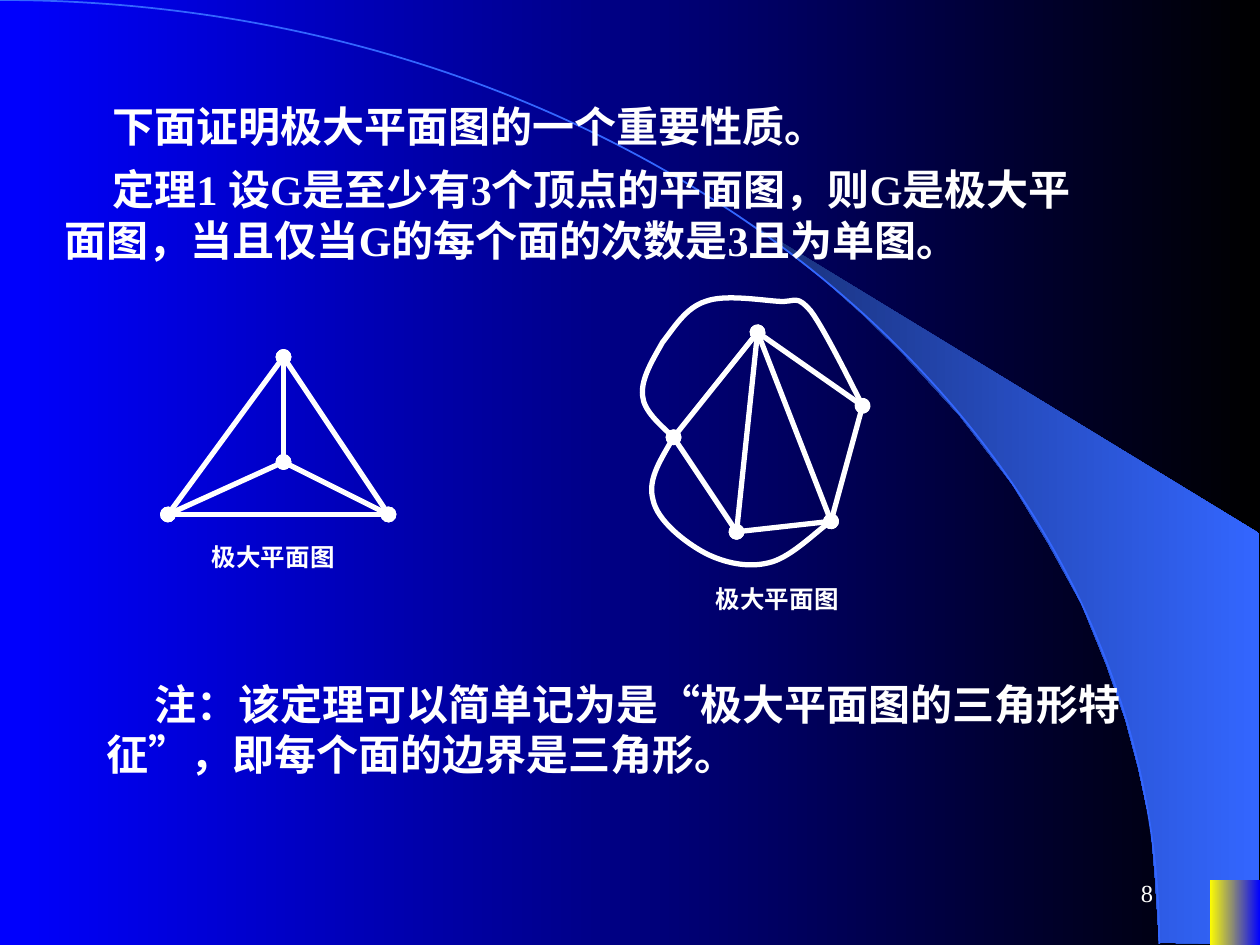
from lxml import etree
from pptx import Presentation
from pptx.enum.shapes import MSO_CONNECTOR, MSO_SHAPE
from pptx.enum.text import MSO_ANCHOR, PP_ALIGN
from pptx.dml.color import RGBColor
from pptx.oxml.ns import qn
from pptx.util import Inches, Pt

RECTANGLE = MSO_SHAPE.RECTANGLE
STRAIGHT = MSO_CONNECTOR.STRAIGHT
TOP, MIDDLE = MSO_ANCHOR.TOP, MSO_ANCHOR.MIDDLE
LEFT, RIGHT = PP_ALIGN.LEFT, PP_ALIGN.RIGHT

COLORS = {"white": "FFFFFF", "blue": "0000FF", "black": "000000",
          "navy": "182F76", "azure": "3366FF", "yellow": "FFFF00"}
FONT = "Times New Roman"
COLUMNS, ROWS = 120, 90
CELL = Inches(10) // COLUMNS

STATEMENT_FORMAT = {"space_before": Pt(15), "alignment": LEFT}
STATEMENTS = [
    ((5, 9, 101, 6), "下面证明极大平面图的一个重要性质。"),
    ((5, 15, 101, 10.8),
     "定理1 设G是至少有3个顶点的平面图，则G是极大平面图，当且仅当G的每个面的次数是3且为单图。"),
    ((9, 64, 101, 10.8),
     "注：该定理可以简单记为是“极大平面图的三角形特征”，即每个面的边界是三角形。"),
]
CAPTION = "极大平面图"
CAPTION_BOXES = [(19, 51, 17, 4.1), (67, 55, 15, 4.1)]

TETRAHEDRON = {"top": (27, 34), "left": (16, 49), "right": (37, 49), "center": (27, 44)}
TETRAHEDRON_EDGES = ["top left", "top right", "left right",
                     "top center", "center left", "center right"]
PENTAGON = {"top": (72.15, 31.65), "left": (64.15, 41.65), "right": (82.15, 38.65),
            "low_right": (79.15, 49.65), "low_left": (70.15, 50.65)}
PENTAGON_EDGES = ["top left", "left low_left", "top right", "right low_right",
                  "low_left low_right", "top low_left", "top low_right"]

# After the start point, each row holds two control points and an end point
LOWER_CURVE = [
    PENTAGON["left"],
    (62.9, 43.8), (61.7, 45.8), (62.2, 47.6),
    (62.6, 49.6), (65.3, 51.7), (67.2, 52.7),
    (69, 53.6), (71.2, 54.1), (73.2, 53.6),
    (75.1, 53.2), (78.1, 50.3), PENTAGON["low_right"],
]
UPPER_CURVE = [
    PENTAGON["left"],
    (62.8, 40.4), (61.3, 39.1), (61.2, 37.7),
    (61, 36.1), (62.2, 34.2), (63.1, 32.6),
    (64.2, 31.2), (65.3, 29.3), (67.2, 28.7),
    (69, 28), (72.5, 28.6), (74.2, 28.7),
    (75.8, 28.8), (75.8, 28), (77.2, 29.6),
    (78.5, 31.3), (81.4, 37.2), PENTAGON["right"],
]
BACKGROUND_ARC = [(0, 0), (61, 0), (110.4, 40.2), (110.4, 89.9)]
SWEEP = [(110.4, 89.8), (119.9, 89.9), (119.9, 50.8), (70.7, 20.8), (74.9, 23.9),
         (78.4, 26.6), (82.2, 30), (85.9, 33.6), (91.4, 39.6), (96.4, 46.1),
         (99.8, 51.7), (103, 57.5), (105.4, 63.4), (107.2, 68.6), (108.4, 73.1),
         (109.6, 78.7), (110, 83.5)]


def color(name):
    return RGBColor.from_string(COLORS[name])


def grid(*cells):
    return [round(cell * CELL) for cell in cells]


def set_values(target, values):
    for name, value in values.items():
        setattr(target, name, value)


def fill_gradient(fill, start, end):
    fill.gradient()
    fill.gradient_angle = 0
    for stop, name in zip(fill.gradient_stops, (start, end)):
        stop.color.rgb = color(name)


def style_line(shape, name="white", width=3, dots=False):
    """Colour the outline; dots puts a round end at both ends."""
    shape.line.color.rgb = color(name)
    shape.line.width = Pt(width)
    if dots:
        line = shape.line._get_or_add_ln()
        for tag in ("a:headEnd", "a:tailEnd"):
            etree.SubElement(line, qn(tag), type="oval")


def add_text(slide, box, text, size, bold=True, anchor=TOP, indent=0, paragraph_format=None):
    frame = slide.shapes.add_textbox(*grid(*box)).text_frame
    set_values(frame, {"word_wrap": True, "vertical_anchor": anchor})
    paragraph = frame.paragraphs[0]
    set_values(paragraph, paragraph_format or {})
    if indent:
        paragraph._p.get_or_add_pPr().set("indent", str(Inches(indent)))
    run = paragraph.add_run()
    run.text = text
    set_values(run.font, {"name": FONT, "size": Pt(size), "bold": bold})
    run.font.color.rgb = color("white")


def add_outline(slide, points, close):
    start, *others = [grid(*point) for point in points]
    builder = slide.shapes.build_freeform(*start, scale=1.0)
    builder.add_line_segments(others, close=close)
    shape = builder.convert_to_shape()
    shape.shadow.inherit = False
    return shape


def add_curve(slide, points, **line_format):
    """Draw an open outline, then join every three line points into a Bézier segment."""
    shape = add_outline(slide, points, close=False)
    lines = list(shape._element.iter(qn("a:lnTo")))
    for first in range(0, len(lines), 3):
        segment = etree.SubElement(lines[first].getparent(), qn("a:cubicBezTo"))
        for line in lines[first:first + 3]:
            segment.append(line[0])
            line.getparent().remove(line)
    shape.fill.background()
    style_line(shape, **line_format)


def add_graph(slide, vertices, edges):
    for edge in edges:
        start, end = (vertices[name] for name in edge.split())
        connector = slide.shapes.add_connector(STRAIGHT, *grid(*start, *end))
        style_line(connector, dots=edge != "top low_right")
        etree.SubElement(connector._element.spPr, qn("a:effectLst"))


def add_backdrop(slide):
    fill_gradient(slide.background.fill, "blue", "black")
    sweep = add_outline(slide, SWEEP, close=True)
    fill_gradient(sweep.fill, "navy", "azure")
    sweep.line.fill.background()
    add_curve(slide, BACKGROUND_ARC, name="azure", width=1)
    corner = slide.shapes.add_shape(RECTANGLE, *grid(115.2, 83.8, 4.8, 6.2))
    corner.shadow.inherit = False
    fill_gradient(corner.fill, "yellow", "blue")
    corner.line.fill.background()


def main():
    presentation = Presentation()
    set_values(presentation, {"slide_width": COLUMNS * CELL, "slide_height": ROWS * CELL})
    slide = presentation.slides.add_slide(presentation.slide_layouts[6])
    add_backdrop(slide)
    add_text(slide, (86, 82, 25, 6), "8", 14, bold=False, anchor=MIDDLE,
             paragraph_format={"alignment": RIGHT})
    for box, text in STATEMENTS:
        add_text(slide, box, text, 24, indent=0.38, paragraph_format=STATEMENT_FORMAT)
    add_graph(slide, TETRAHEDRON, TETRAHEDRON_EDGES)
    add_graph(slide, PENTAGON, PENTAGON_EDGES)
    add_curve(slide, LOWER_CURVE, dots=True)
    add_curve(slide, UPPER_CURVE)
    for box in CAPTION_BOXES:
        add_text(slide, box, CAPTION, 14)
    presentation.save("out.pptx")


if __name__ == "__main__":
    main()
